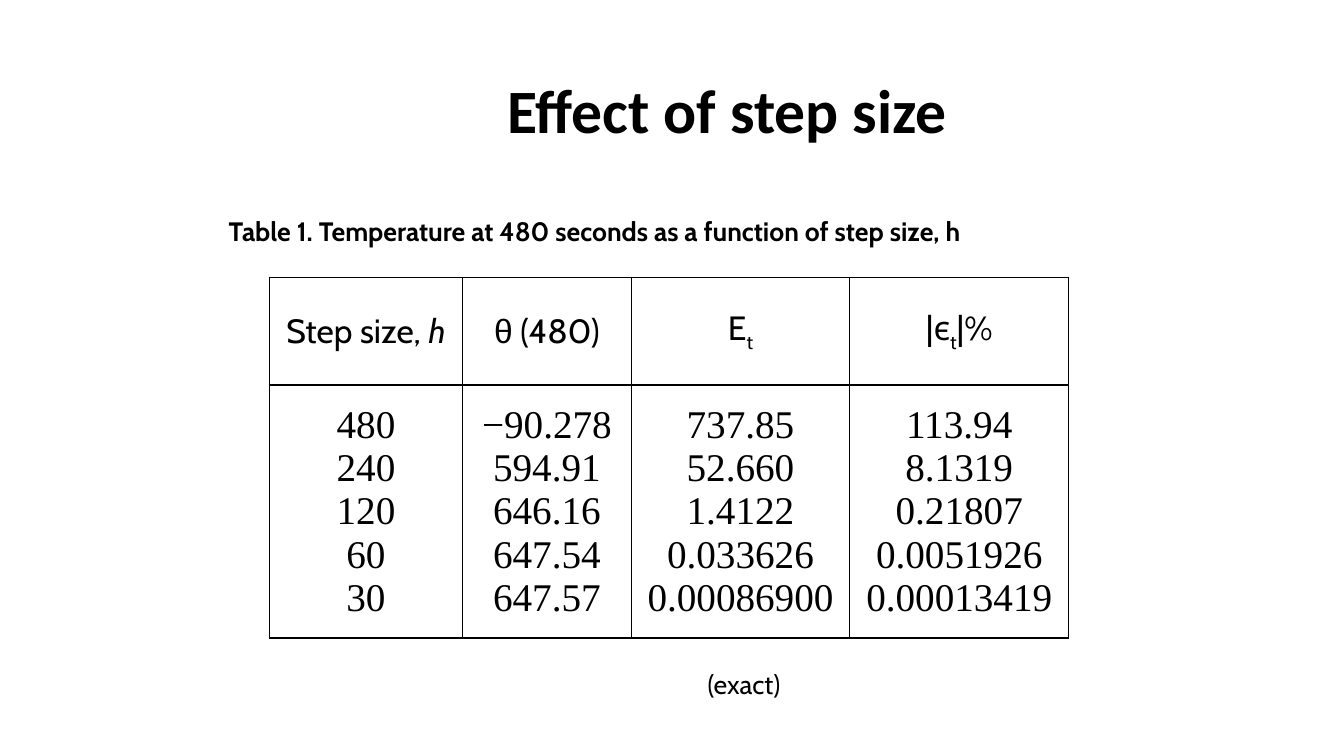
from dataclasses import dataclass

from lxml import etree
from pptx import Presentation
from pptx import util as u
from pptx.dml.color import RGBColor
from pptx.enum import text
from pptx.oxml.ns import qn


@dataclass(frozen=True)
class Theme:
    ink: RGBColor = RGBColor(0, 0, 0)
    paper: RGBColor = RGBColor(255, 255, 255)
    title_font: str = "Calibri"
    label_font: str = "Cabin"
    symbol_font: str = "Arial"
    number_font: str = "Times New Roman"
    title_size: int = 44
    header_size: int = 24
    number_size: int = 28
    note_size: int = 19
    border: float = 1


@dataclass(frozen=True)
class Run:
    text: str
    font: str
    size: int
    bold: bool = False
    italic: bool = False
    baseline: int = 0


@dataclass(frozen=True)
class Note:
    run: Run
    left: float
    top: float
    width: float
    height: float
    align: text.PP_ALIGN
    anchor: text.MSO_ANCHOR


@dataclass(frozen=True)
class Column:
    width: float
    header: tuple[Run, ...]
    values: tuple[str, ...]


T = Theme()
ALIGN = text.PP_ALIGN
ANCHOR = text.MSO_ANCHOR


def label(value: str, italic: bool = False, baseline: int = 0) -> Run:
    return Run(value, T.label_font, T.header_size, italic=italic, baseline=baseline)


TITLE = Run("Effect of step size", T.title_font, T.title_size, bold=True)
COLUMNS = (
    Column(1.92, (label("Step size, "), label("h", italic=True)),
           ("480", "240", "120", "60", "30")),
    Column(1.67, (Run("θ", T.symbol_font, T.header_size), label(" (480)")),
           ("−90.278", "594.91", "646.16", "647.54", "647.57")),
    Column(2.17, (label("E"), label("t", baseline=-25)),
           ("737.85", "52.660", "1.4122", "0.033626", "0.00086900")),
    Column(2.17, (label("|є"), label("t", baseline=-25), label("|%")),
           ("113.94", "8.1319", "0.21807", "0.0051926", "0.00013419")),
)
ROW_HEIGHTS = (1.07, 2.51)
NOTES = (
    Note(Run("Table 1. Temperature at 480 seconds as a function of step size, h",
             T.label_font, T.note_size, bold=True),
         2.17, 2.08, 8.88, 0.42, ALIGN.JUSTIFY, ANCHOR.MIDDLE),
    Note(Run("(exact)", T.label_font, T.note_size),
         6.92, 6.58, 1.02, 0.42, ALIGN.LEFT, ANCHOR.TOP),
)


def add_run(p, run: Run) -> None:
    r = p.add_run()
    r.text = run.text
    r.font.name = run.font
    r.font.size = u.Pt(run.size)
    r.font.bold = run.bold
    r.font.italic = run.italic
    r.font.color.rgb = T.ink
    if run.baseline:
        r.font._element.set("baseline", str(run.baseline * 1000))


def fill_paragraphs(tf, lines: list[tuple[Run, ...]], align: text.PP_ALIGN) -> None:
    for i, line in enumerate(lines):
        p = tf.add_paragraph() if i else tf.paragraphs[0]
        p.alignment = align
        for run in line:
            add_run(p, run)


def outline_cell(cell) -> None:
    tc_pr = cell._tc.get_or_add_tcPr()
    for i, side in enumerate(("lnL", "lnR", "lnT", "lnB")):
        ln = etree.Element(qn(f"a:{side}"), w=str(u.Pt(T.border)))
        fill = etree.SubElement(ln, qn("a:solidFill"))
        etree.SubElement(fill, qn("a:srgbClr"), val=str(T.ink))
        tc_pr.insert(i, ln)


def add_title(s) -> None:
    sp = s.shapes.title
    sp.left, sp.top = u.Inches(2.01), u.Inches(0.4)
    sp.width, sp.height = u.Inches(10.41), u.Inches(1.45)
    tf = sp.text_frame
    tf.word_wrap = True
    tf.vertical_anchor = ANCHOR.MIDDLE
    fill_paragraphs(tf, [(TITLE,)], ALIGN.CENTER)
    tf.paragraphs[0].line_spacing = 0.9


def add_results(s) -> None:
    frame = s.shapes.add_table(
        len(ROW_HEIGHTS), len(COLUMNS), u.Inches(2.67), u.Inches(2.75),
        u.Inches(sum(c.width for c in COLUMNS)), u.Inches(sum(ROW_HEIGHTS)))
    table = frame.table
    table.first_row = table.horz_banding = False
    for row, height in zip(table.rows, ROW_HEIGHTS):
        row.height = u.Inches(height)
    for i, column in enumerate(COLUMNS):
        table.columns[i].width = u.Inches(column.width)
        values = [(Run(v, T.number_font, T.number_size),) for v in column.values]
        for row, lines in enumerate(([column.header], values)):
            cell = table.cell(row, i)
            cell.fill.solid()
            cell.fill.fore_color.rgb = T.paper
            cell.vertical_anchor = ANCHOR.MIDDLE
            outline_cell(cell)
            fill_paragraphs(cell.text_frame, lines, ALIGN.CENTER)


def add_note(s, note: Note) -> None:
    sp = s.shapes.add_textbox(u.Inches(note.left), u.Inches(note.top),
                              u.Inches(note.width), u.Inches(note.height))
    tf = sp.text_frame
    tf.word_wrap = True
    tf.vertical_anchor = note.anchor
    fill_paragraphs(tf, [(note.run,)], note.align)


def main() -> None:
    prs = Presentation()
    prs.slide_width, prs.slide_height = u.Inches(13.33), u.Inches(7.5)
    s = prs.slides.add_slide(prs.slide_layouts[5])
    add_title(s)
    add_results(s)
    for note in NOTES:
        add_note(s, note)
    prs.save("out.pptx")


if __name__ == "__main__":
    main()
